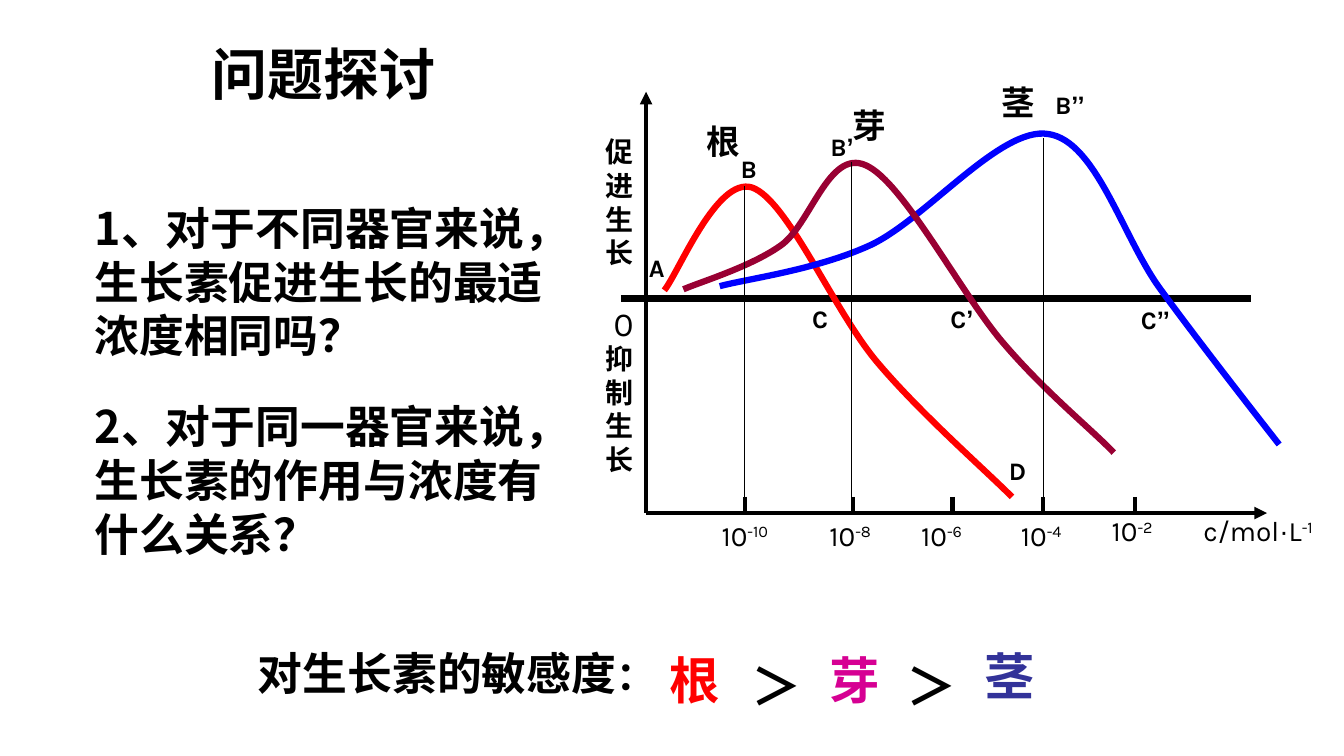
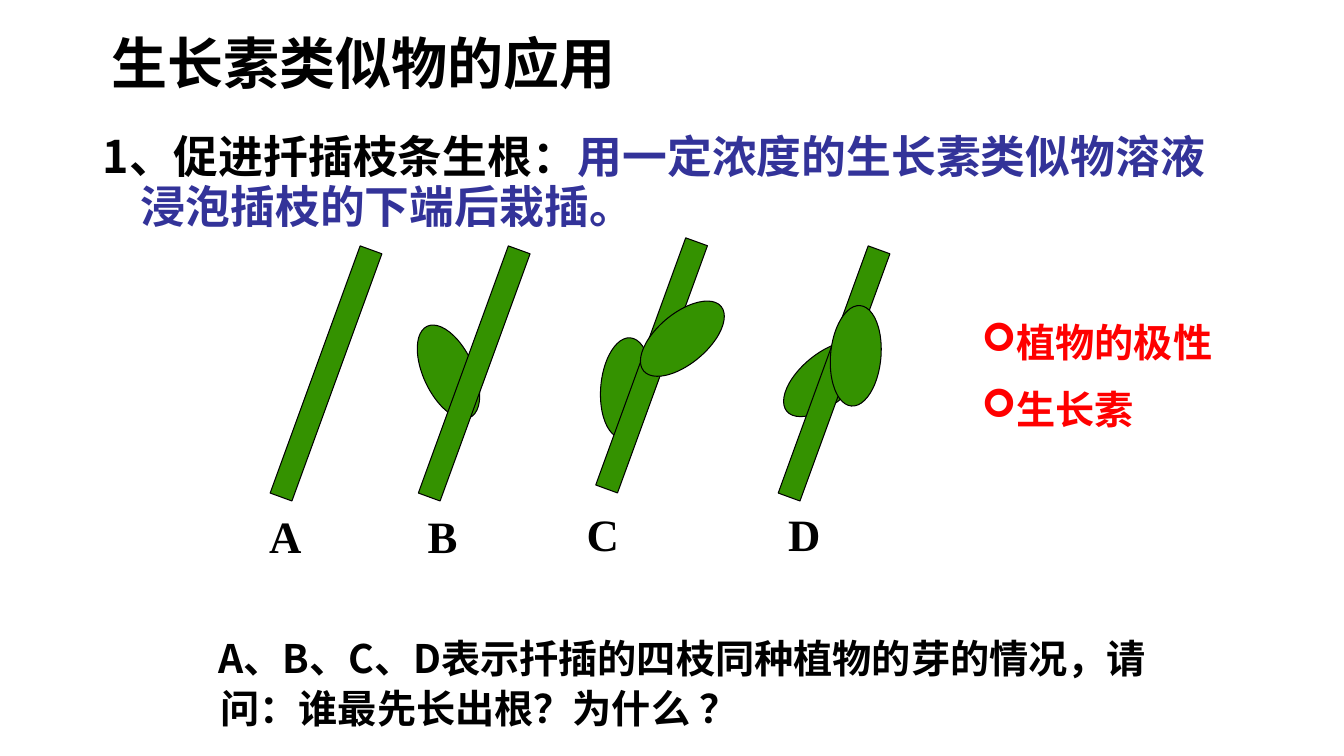
from lxml import etree
from pptx import Presentation
from pptx.dml.color import RGBColor
from pptx.enum.shapes import MSO_CONNECTOR, MSO_SHAPE
from pptx.enum.text import PP_ALIGN
from pptx.oxml.ns import qn
from pptx.util import Inches, Pt

LINE, RECT, OVAL = MSO_CONNECTOR.STRAIGHT, MSO_SHAPE.RECTANGLE, MSO_SHAPE.OVAL
LEFT, MID, RIGHT = PP_ALIGN.LEFT, PP_ALIGN.CENTER, PP_ALIGN.RIGHT
HAN, KARLA, SERIF, ARIAL = "Noto Sans CJK SC", "Karla", "Times New Roman", "Arial"
BLACK, WHITE, RED, BLUE, WINE = "000000", "FFFFFF", "FF0000", "0000FF", "990033"
NAVY, PINK, GREEN = "333399", "D60093", "349200"
WIDE, HIGH = 40 / 3, 7.5


def rgb(code):
    return RGBColor.from_string(code)


def write(par, words, size, font=HAN, color=BLACK, bold=True, up=False):
    run = par.add_run()
    run.text = words
    run.font.size, run.font.name, run.font.bold = Pt(size), font, bold
    run.font.color.rgb = rgb(color)
    props = run._r.get_or_add_rPr()
    etree.SubElement(props, qn("a:ea")).set("typeface", HAN)
    if up:
        props.set("baseline", "30000")


def frame(slide, x, y, w, h):
    box = slide.shapes.add_textbox(Inches(x), Inches(y), Inches(w), Inches(h))
    box.text_frame.word_wrap = True
    return box.text_frame


def style(par, size, align=LEFT, pitch=None, inset=0, first=0, mark=None):
    """Set alignment, line pitch in points, indents and bullet."""
    props = par._p.get_or_add_pPr()
    if inset:
        props.set("marL", str(Inches(inset)))
        props.set("indent", str(Inches(first)))
    if mark:
        etree.SubElement(props, qn("a:buFont")).set("typeface", "Wingdings")
        etree.SubElement(props, qn("a:buChar")).set("char", mark)
    par.alignment = align
    par.line_spacing = Pt(pitch or round(size * 1.2, 1))
    return par


def text(slide, x, y, w, h, words, size, align=LEFT, **look):
    par = style(frame(slide, x, y, w, h).paragraphs[0], size, align)
    write(par, words, size, **look)
    return par


def title(slide, x, y, w, words, align=LEFT):
    text(slide, x, y, w, 0.79, words, 40, align)


def line(slide, x1, y1, x2, y2, width, arrow=False):
    link = slide.shapes.add_connector(
        LINE, Inches(x1), Inches(y1), Inches(x2), Inches(y2))
    link.line.color.rgb = rgb(BLACK)
    link.line.width = Pt(width)
    etree.SubElement(link._element.spPr, qn("a:effectLst"))
    if arrow:
        tail = etree.SubElement(link.line._get_or_add_ln(), qn("a:tailEnd"))
        tail.set("type", "triangle")


def part(slide, kind, x, y, w, h, turn=0, fill=GREEN, edge=BLACK, width=0.75):
    shape = slide.shapes.add_shape(
        kind, Inches(x), Inches(y), Inches(w), Inches(h))
    shape.rotation = turn
    shape.shadow.inherit = False
    shape.fill.solid()
    shape.fill.fore_color.rgb = rgb(fill)
    shape.line.color.rgb = rgb(edge)
    shape.line.width = Pt(width)


def bend(shape):
    """Turn each three line segments of a freeform into one Bézier arc."""
    track = next(shape._element.iter(qn("a:path")))
    legs = track.findall(qn("a:lnTo"))
    for i in range(0, len(legs), 3):
        arc = etree.SubElement(track, qn("a:cubicBezTo"))
        for leg in legs[i:i + 3]:
            arc.append(leg[0])
            track.remove(leg)


def curve(slide, x, y, knots, color):
    dots = [(Inches(x + a), Inches(y + b)) for a, b in knots]
    pen = slide.shapes.build_freeform(*dots[0], scale=1.0)
    pen.add_line_segments(dots[1:], close=False)
    shape = pen.convert_to_shape()
    bend(shape)
    shape.shadow.inherit = False
    shape.fill.background()
    shape.line.color.rgb = rgb(color)
    shape.line.width = Pt(4.5)


CURVES = (
    (RED, [(0.59, 1.88), (0.73, 1.71), (1.11, 0.75), (1.46, 0.86),
           (1.81, 0.98), (2.27, 2.08), (2.7, 2.59),
           (3.13, 3.1), (3.76, 3.65), (4.04, 3.93)]),
    (BLUE, [(1.14, 1.84), (1.39, 1.77), (2.1, 1.68), (2.64, 1.43),
            (3.19, 1.17), (3.93, 0.25), (4.4, 0.33),
            (4.88, 0.4), (5.14, 1.37), (5.52, 1.88),
            (5.9, 2.4), (6.44, 3.09), (6.69, 3.41)]),
    (WINE, [(0.78, 1.87), (0.94, 1.8), (1.44, 1.65), (1.74, 1.44),
            (2.04, 1.24), (2.22, 0.47), (2.59, 0.64),
            (2.96, 0.8), (3.55, 1.94), (3.96, 2.41),
            (4.37, 2.89), (4.83, 3.26), (5.05, 3.49)]),
)
# tick x, label x, label y, power
TICKS = ((1.39, 1.06, 4.09, "-10"), (2.46, 2.13, 4.09, "-8"),
         (3.45, 3.04, 4.09, "-6"), (4.35, 4.03, 4.09, "-4"),
         (5.26, 4.93, 4.05, "-2"))
POINTS = (("A", "", 0.34, 1.45), ("B", "", 1.25, 0.47),
          ("C", "", 1.96, 1.96), ("D", "", 3.91, 3.47),
          ("B", "’’", 4.37, -0.16), ("C", "’’", 5.22, 1.97),
          ("B", "’", 2.14, 0.25), ("C", "’", 3.33, 1.96))


def axes(slide, x, y):
    base = y + 4.09
    line(slide, x + 0.41, base, x + 0.41, y - 0.09, 3, True)
    line(slide, x + 0.41, base, x + 6.57, base, 3, True)
    line(slide, x + 0.16, y + 1.96, x + 6.41, y + 1.96, 4.5)
    text(slide, x - 0.01, y + 1.96, 0.41, 0.5, "0", 24, font=KARLA, bold=False)
    plain = {"size": 20, "font": KARLA, "bold": False}
    for tick, left, top, power in TICKS:
        line(slide, x + tick, base - 0.16, x + tick, base, 3)
        par = text(slide, x + left, y + top, 0.91, 0.43, "10", **plain)
        write(par, power, up=True, **plain)
    par = text(slide, x + 5.84, y + 4.05, 1.4, 0.43, "c/mol", **plain)
    write(par, "·", 20, ARIAL, bold=False)
    write(par, "L", **plain)
    write(par, "-1", up=True, **plain)
    for words, top in (("促进生长", 0.29), ("抑制生长", 2.34)):
        text(slide, x - 0.09, y + top, 0.49, 1.43, words, 20, font=KARLA)


def graph(slide, x, y):
    axes(slide, x, y)
    for color, knots in CURVES:
        curve(slide, x, y, knots, color)
    for left, top in ((1.39, 0.85), (2.45, 0.61), (4.35, 0.37)):
        line(slide, x + left, y + top, x + left, y + 4, 0.75)
    for organ, left, top in (("根", 0.91, 0.15), ("茎", 3.84, -0.24),
                             ("芽", 2.36, -0.01)):
        text(slide, x + left, y + top, 0.78, 0.5, organ, 24, font=KARLA)
    for name, prime, left, top in POINTS:
        par = text(slide, x + left, y + top, 0.5, 0.4, name, 18, font=KARLA)
        if prime:
            write(par, prime, 18, ARIAL)


def rank(slide, x, y):
    """Place the order of sensitivity in one row."""
    par = text(slide, x, y, 4.41, 0.64, "对生长素的敏感度", 32)
    write(par, "：", 28)
    items = (("根", RED, 4.07, 0.03), ("＞", BLACK, 4.89, 0.09),
             ("芽", PINK, 5.66, 0.03), ("＞", BLACK, 6.42, 0.09),
             ("茎", NAVY, 7.2, -0.01))
    for sign, color, left, top in items:
        text(slide, x + left, y + top, 0.72, 0.64, sign, 36, MID, color=color)


def twig(slide, x, y, back=None, front=None):
    """Draw a cutting; each bud is (dx, dy, turn) from the stem's corner."""
    def bud(spot):
        if spot:
            dx, dy, turn = spot
            part(slide, OVAL, x + dx, y + dy, 0.5, 1, turn)

    bud(back)
    part(slide, RECT, x, y, 0.23, 2.61, 20)
    bud(front)


def twigs(slide, x, y):
    rows = (("A", 0, 0, -0.29, None, None),
            ("B", 1.47, 0, -0.2, (-0.39, 0.79, 335), None),
            ("C", 3.23, -0.08, -0.37, (-0.39, 1.03, 5), (0.17, 0.54, 50.2)),
            ("D", 5.04, 0, -0.18, (-0.22, 0.86, 50.2), (0.08, 0.63, 5)))
    for name, dx, dy, shift, back, front in rows:
        twig(slide, x + dx, y + dy, back, front)
        drop = 2.6 if name in "AB" else 2.58
        text(slide, x + dx + shift - 0.37, y + drop, 0.74, 0.6, name, 32, MID,
             font=SERIF)


def causes(slide, x, y):
    body = frame(slide, x, y, 2.56, 1.28)
    for i, words in enumerate(("植物的极性", "生长素")):
        par = body.add_paragraph() if i else body.paragraphs[0]
        style(par, 28, inset=0.32, first=-0.32, mark="➢")
        if i:
            par.space_before = Pt(14)
        write(par, words, 28, color=RED)


def discuss(slide):
    graph(slide, 6, 1)
    rank(slide, 2.46, 6.36)
    title(slide, 1.58, 0.34, 2.84, "问题探讨", RIGHT)
    asks = ("1、对于不同器官来说，生长素促进生长的最适浓度相同吗？",
            "2、对于同一器官来说，生长素的作用与浓度有什么关系？")
    for i, words in enumerate(asks):
        text(slide, 0.84, 1.94 + 1.97 * i, 5.04, 1.72, words, 32)


def apply(slide):
    par = frame(slide, 0.92, 1.26, 11.26, 1.12).paragraphs[0]
    style(par, 32, pitch=36, inset=0.38, first=-0.38)
    write(par, "1、促进扦插枝条生根：", 32)
    write(par, "用一定浓度的生长素类似物溶液浸泡插枝的下端后栽插。", 32,
          color=NAVY)
    twigs(slide, 3.12, 2.4)
    par = frame(slide, 1.71, 6.21, 9.92, 0.87).paragraphs[0]
    style(par, 28, pitch=36, inset=0.38, first=-0.02)
    write(par, "A、B、C、D表示扦插的四枝同种植物的芽的情况，"
               "请问：谁最先长出根？为什么 ？", 28)
    causes(slide, 9.64, 3.11)
    title(slide, 1.01, 0.23, 8.39, "生长素类似物的应用")


def main():
    deck = Presentation()
    deck.slide_width, deck.slide_height = Inches(WIDE), Inches(HIGH)
    for build in (discuss, apply):
        slide = deck.slides.add_slide(deck.slide_layouts[6])
        part(slide, RECT, 0, 0, WIDE, HIGH, fill=WHITE, edge=WHITE, width=2)
        build(slide)
    deck.save("out.pptx")


if __name__ == "__main__":
    main()
